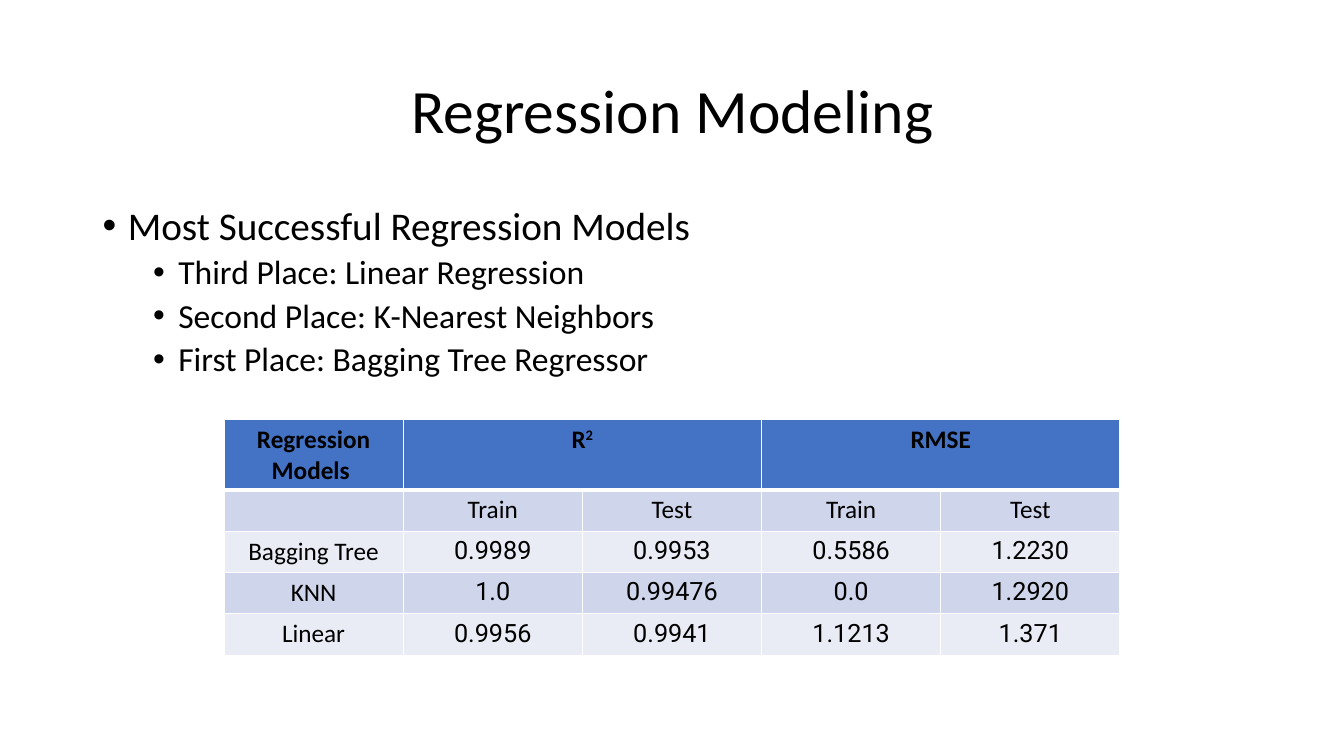
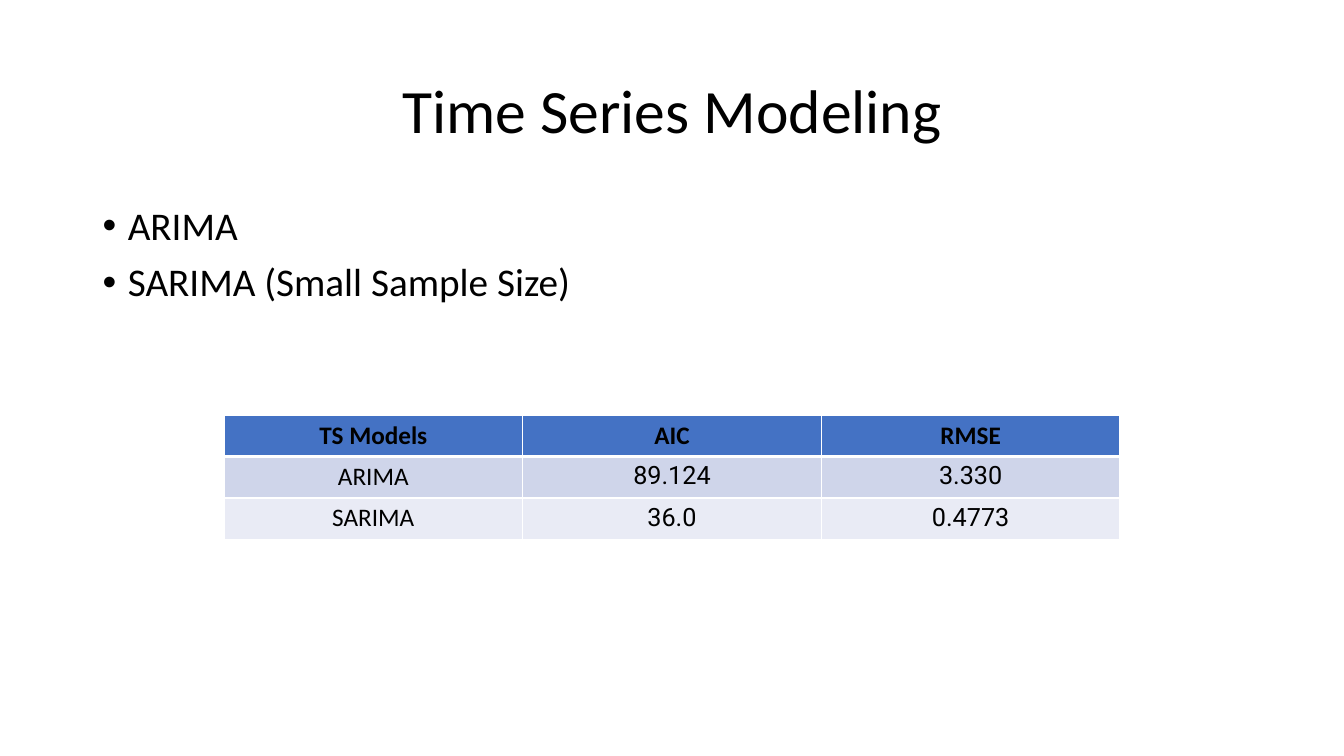
from lxml import etree
from pptx import Presentation, util as u
from pptx.dml.color import RGBColor
from pptx.enum import text as t
from pptx.oxml import ns

BLACK = RGBColor(0x00, 0x00, 0x00)
WHITE = RGBColor(0xFF, 0xFF, 0xFF)
HEADER_BLUE = RGBColor(0x44, 0x72, 0xC4)
BANDS = (RGBColor(0xCF, 0xD5, 0xEA), RGBColor(0xE9, 0xEB, 0xF5))
TEXT_FONT, NUMBER_FONT = "Calibri", "Roboto"

SLIDE_WIDTH, SLIDE_HEIGHT = 13.33, 7.5
TITLE_BOX = (0.92, 0.4, 11.5, 1.45)
BODY_BOX = (0.92, 2, 11.5, 4.76)
TABLE_WIDTH = SLIDE_WIDTH * 2 / 3
TABLE_LEFT = (SLIDE_WIDTH - TABLE_WIDTH) / 2
ROW_HEIGHT = 0.41

# Text size, left margin and space before, by bullet level
LEVELS = (
    {"size": 28, "margin": 0.25, "before": 10},
    {"size": 24, "margin": 0.75, "before": 5},
)
HANGING = 0.25
SUPERSCRIPTS = {"²": "2"}

REGRESSION = {
    "title": "Regression Modeling",
    "bullets": [
        (0, "Most Successful Regression Models"),
        (1, "Third Place: Linear Regression"),
        (1, "Second Place: K-Nearest Neighbors"),
        (1, "First Place: Bagging Tree Regressor"),
    ],
    "rows": [
        ["Regression\nModels ", "R²", None, "RMSE", None],
        ["", "Train", "Test", "Train", "Test"],
        ["Bagging Tree", "0.9989", "0.9953", "0.5586", "1.2230"],
        ["KNN", "1.0", "0.99476", "0.0", "1.2920"],
        ["Linear", "0.9956", "0.9941", "1.1213", "1.371"],
    ],
    "table_top": 4.16,
    "header_height": 0.7,
}
TIME_SERIES = {
    "title": "Time Series Modeling",
    "bullets": [(0, "ARIMA"), (0, "SARIMA (Small Sample Size)")],
    "rows": [
        ["TS Models", "AIC", "RMSE"],
        ["ARIMA", "89.124", "3.330"],
        ["SARIMA", "36.0", "0.4773"],
    ],
    "table_top": 4.12,
    "header_height": ROW_HEIGHT,
}


def set_attributes(target, values):
    for name, value in values.items():
        setattr(target, name, value)


def add_span(para, words, size, font=TEXT_FONT, bold=False):
    span = para.add_run()
    span.text = words
    set_attributes(span.font, {"name": font, "size": u.Pt(size), "bold": bold})
    span.font.color.rgb = BLACK
    return span


def add_text_frame(slide, box, anchor):
    frame = slide.shapes.add_textbox(*map(u.Inches, box)).text_frame
    set_attributes(frame, {"word_wrap": True, "vertical_anchor": anchor})
    return frame


def add_title(slide, box, words):
    para = add_text_frame(slide, box, t.MSO_ANCHOR.MIDDLE).paragraphs[0]
    set_attributes(para, {"alignment": t.PP_ALIGN.CENTER, "line_spacing": 0.9})
    add_span(para, words, 44)


def add_bullets(slide, box, bullets):
    frame = add_text_frame(slide, box, t.MSO_ANCHOR.TOP)
    for index, (level, words) in enumerate(bullets):
        para = frame.add_paragraph() if index else frame.paragraphs[0]
        style = LEVELS[level]
        set_attributes(para, {"level": level, "line_spacing": 0.9,
                              "space_before": u.Pt(style["before"])})
        properties = para._p.get_or_add_pPr()
        properties.set("marL", str(u.Inches(style["margin"])))
        properties.set("indent", str(-u.Inches(HANGING)))
        etree.SubElement(properties, ns.qn("a:buFont"), typeface="Arial")
        etree.SubElement(properties, ns.qn("a:buChar"), char="•")
        add_span(para, words, style["size"])


def set_borders(cell, widths):
    """Draw white borders; must come before the cell's fill in the XML."""
    properties = cell._tc.get_or_add_tcPr()
    for side, width in widths.items():
        line = etree.SubElement(properties, ns.qn(f"a:ln{side}"), w=str(u.Pt(width)))
        fill = etree.SubElement(line, ns.qn("a:solidFill"))
        etree.SubElement(fill, ns.qn("a:srgbClr"), val=str(WHITE))


def write_cell(cell, words, bold):
    font = NUMBER_FONT if words[:1].isdigit() else TEXT_FONT
    for index, line in enumerate(words.split("\n")):
        frame = cell.text_frame
        para = frame.add_paragraph() if index else frame.paragraphs[0]
        para.alignment = t.PP_ALIGN.CENTER
        base = line.rstrip("".join(SUPERSCRIPTS))
        if base:
            add_span(para, base, 18, font, bold)
        for mark in line[len(base):]:
            span = add_span(para, SUPERSCRIPTS[mark], 18, font, bold)
            span._r.get_or_add_rPr().set("baseline", "30000")


def add_results_table(slide, box, rows, header_height):
    """Build a banded table; a None cell joins the cell on its left."""
    columns = len(rows[0])
    table = slide.shapes.add_table(len(rows), columns, *map(u.Inches, box)).table
    for column in table.columns:
        column.width = u.Inches(box[2] / columns)
    for r, values in enumerate(rows):
        table.rows[r].height = u.Inches(ROW_HEIGHT if r else header_height)
        for c, words in enumerate(values):
            cell = table.cell(r, c)
            set_borders(cell, {"L": 1, "R": 1, "T": 3 if r == 1 else 1,
                               "B": 1 if r else 3})
            cell.fill.solid()
            cell.fill.fore_color.rgb = BANDS[(r - 1) % 2] if r else HEADER_BLUE
            if words is None:
                table.cell(r, c - 1).merge(cell)
            else:
                write_cell(cell, words, bold=r == 0)


def add_model_slide(deck, content):
    slide = deck.slides.add_slide(deck.slide_layouts[6])
    add_title(slide, TITLE_BOX, content["title"])
    add_bullets(slide, BODY_BOX, content["bullets"])
    rows, header_height = content["rows"], content["header_height"]
    height = header_height + ROW_HEIGHT * (len(rows) - 1)
    table_box = (TABLE_LEFT, content["table_top"], TABLE_WIDTH, height)
    add_results_table(slide, table_box, rows, header_height)


def main():
    deck = Presentation()
    set_attributes(deck, {"slide_width": u.Inches(SLIDE_WIDTH),
                          "slide_height": u.Inches(SLIDE_HEIGHT)})
    for content in (REGRESSION, TIME_SERIES):
        add_model_slide(deck, content)
    deck.save("out.pptx")


if __name__ == "__main__":
    main()
